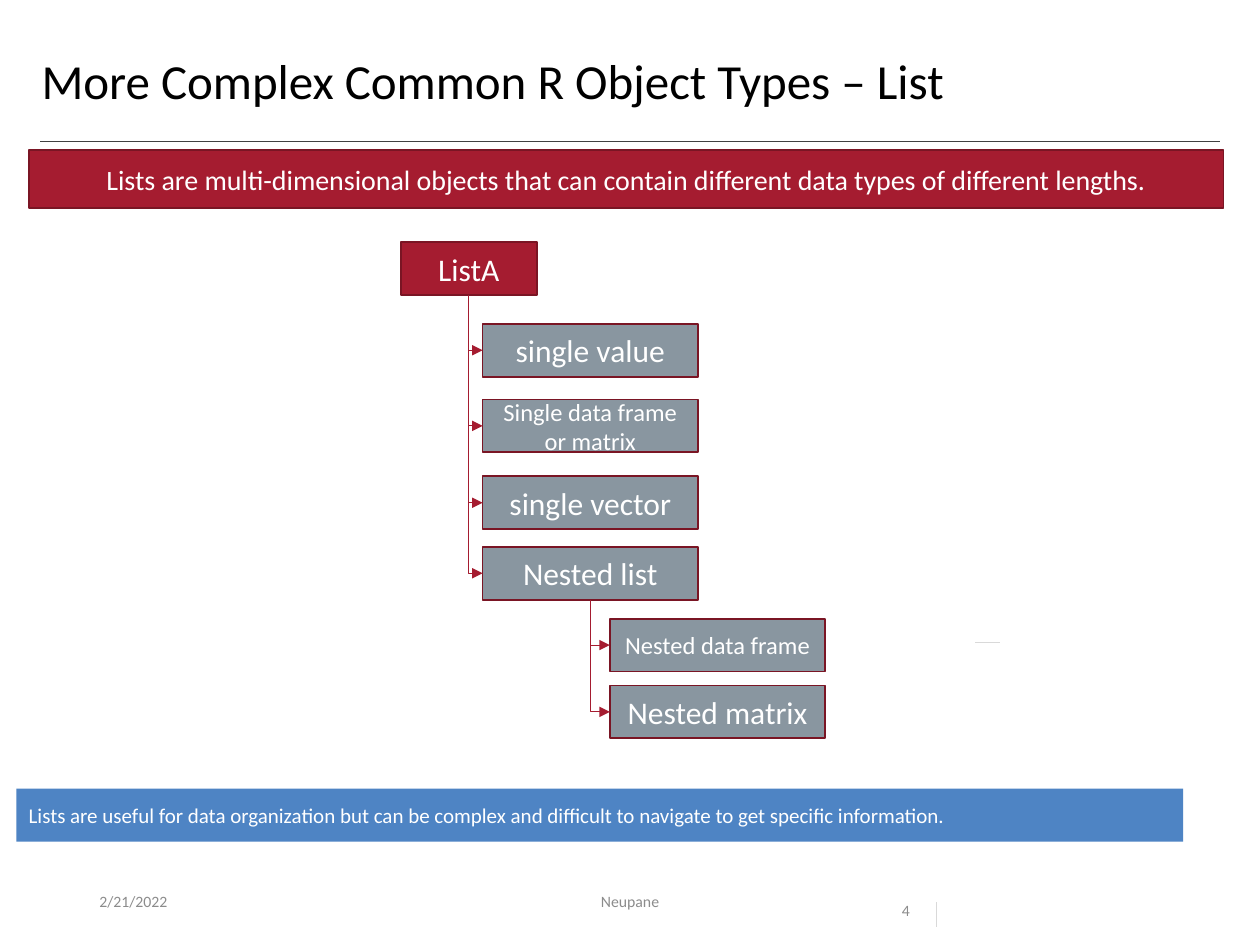
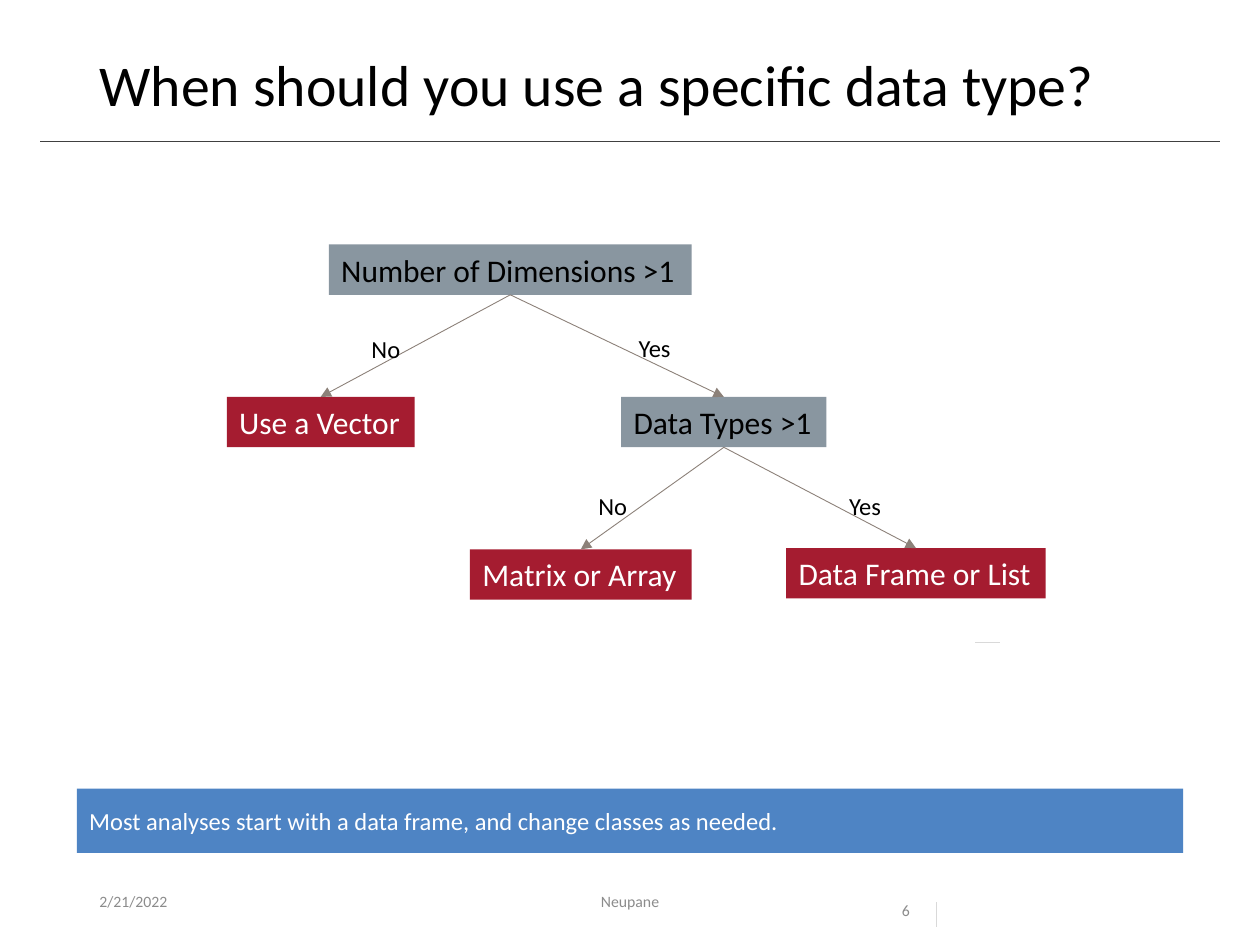
from dataclasses import dataclass

from lxml import etree
from pptx import Presentation
from pptx import util as u
from pptx.dml.color import RGBColor
from pptx.enum import shapes, text
from pptx.oxml import ns

PX = 9144  # EMU; the slide is 1000 x 750 px
LEFT, CENTER = text.PP_ALIGN.LEFT, text.PP_ALIGN.CENTER
TOP, MIDDLE = text.MSO_ANCHOR.TOP, text.MSO_ANCHOR.MIDDLE


@dataclass(frozen=True)
class Theme:
    font: str = "Calibri"
    ink: str = "000000"
    paper: str = "FFFFFF"
    crimson: str = "A51C30"
    outline: str = "7A1524"
    slate: str = "8996A0"
    blue: str = "4E84C4"
    rule: str = "404040"
    branch: str = "8C8179"
    tick: str = "D9D9D9"
    muted: str = "8C8C8C"
    footer_size: int = 9
    note_size: int = 12
    small: int = 14
    banner_size: int = 16
    node_size: int = 18
    hair: float = 0.5


THEME = Theme()


def px(*lengths):
    return [u.Emu(length * PX) for length in lengths]


def apply(target, values):
    for name, value in values.items():
        setattr(target, name, value)


def write(shape, words, size, color, align=LEFT, spacing=None, **frame_format):
    frame = shape.text_frame
    apply(frame, {"word_wrap": True, "auto_size": text.MSO_AUTO_SIZE.NONE,
                  "vertical_anchor": TOP, **frame_format})
    frame.text = words
    paragraph = frame.paragraphs[0]
    apply(paragraph, {"alignment": align, "line_spacing": spacing})
    font = paragraph.runs[0].font
    apply(font, {"name": THEME.font, "size": u.Pt(size)})
    font.color.rgb = RGBColor.from_string(color)


def add_label(slide, box, words, size, color, **layout):
    label = slide.shapes.add_textbox(*px(*box))
    write(label, words, size, color, **layout)
    return label


def add_box(slide, box, words, fill, size, color=THEME.paper, outline=None, **layout):
    shape = slide.shapes.add_shape(shapes.MSO_SHAPE.RECTANGLE, *px(*box))
    shape.shadow.inherit = False
    shape.fill.solid()
    shape.fill.fore_color.rgb = RGBColor.from_string(fill)
    if outline:
        shape.line.color.rgb = RGBColor.from_string(outline)
        shape.line.width = u.Pt(1)
    else:
        shape.line.fill.background()
    write(shape, words, size, color, **layout)
    return shape


def add_line(slide, ends, color, arrow=False):
    line = slide.shapes.add_connector(shapes.MSO_CONNECTOR.STRAIGHT, *px(*ends))
    line.line.color.rgb = RGBColor.from_string(color)
    line.line.width = u.Pt(THEME.hair)
    properties = line._element.spPr
    if arrow:
        head = etree.SubElement(properties.find(ns.qn("a:ln")), ns.qn("a:tailEnd"))
        head.set("type", "triangle")
    etree.SubElement(properties, ns.qn("a:effectLst"))
    return line


def add_joined(slide, parent, child, child_side, color):
    line = add_line(slide, (0, 0, 0, 0), color, arrow=True)
    line.begin_connect(parent, 2)
    line.end_connect(child, child_side)
    return line


def add_elbow(slide, parent, child):
    """Run down from the parent's bottom, then right to the child's left side."""
    elbow = add_joined(slide, parent, child, 1, THEME.crimson)
    across, down = elbow.width, elbow.height
    middle_x, middle_y = elbow.left + across // 2, elbow.top + down // 2
    apply(elbow, {"left": middle_x - down // 2, "top": middle_y - across // 2,
                  "width": down, "height": across})
    properties = elbow._element.spPr
    properties.find(ns.qn("a:prstGeom")).set("prst", "bentConnector2")
    frame = properties.find(ns.qn("a:xfrm"))
    frame.set("rot", "16200000")
    frame.set("flipH", "1")


def add_member(slide, left, top, words, size=THEME.node_size, width=171,
               fill=THEME.slate):
    return add_box(slide, (left, top, width, 42), words, fill, size,
                   outline=THEME.outline, align=CENTER, vertical_anchor=MIDDLE)


def add_decision(slide, left, top, width, words, fill, color):
    return add_box(slide, (left, top, width, 40), words, fill, THEME.node_size, color,
                   word_wrap=False, auto_size=text.MSO_AUTO_SIZE.SHAPE_TO_FIT_TEXT)


def add_note(slide, box, words, size):
    add_box(slide, box, words, THEME.blue, size, vertical_anchor=MIDDLE)


def start_slide(deck, title, title_left, title_size, number):
    slide = deck.slides.add_slide(deck.slide_layouts[5])
    add_line(slide, (32, 112, 968, 112), THEME.rule)
    heading = slide.shapes.title
    places = px(title_left, 40, 931 - title_left, 65)
    apply(heading, dict(zip(("left", "top", "width", "height"), places)))
    write(heading, title, title_size, THEME.ink, spacing=0.9)

    footers = [
        ((69, 695, 225, 40), "2/21/2022", {"vertical_anchor": MIDDLE}),
        ((331, 695, 338, 40), "Neupane", {"vertical_anchor": MIDDLE, "align": CENTER}),
        ((706, 695, 94, 40), number, {"spacing": 2.0}),
    ]
    for box, words, layout in footers:
        add_label(slide, box, words, THEME.footer_size, THEME.muted, **layout)
    for ends in ((743, 716, 743, 736), (774, 510, 794, 510)):
        add_line(slide, ends, THEME.tick)
    return slide


def build_list_slide(deck):
    slide = start_slide(deck, "More Complex Common R Object Types – List", 23, 28, "4")
    add_note(slide, (13, 626, 926, 42),
             "Lists are useful for data organization but can be complex and "
             "difficult to navigate to get specific information.", THEME.note_size)
    add_box(slide, (23, 119, 948, 46),
            "Lists are multi-dimensional objects that can contain different "
            "data types of different lengths.", THEME.crimson, THEME.banner_size,
            outline=THEME.outline, align=CENTER, vertical_anchor=MIDDLE)

    root = add_member(slide, 318, 192, "ListA", width=108, fill=THEME.crimson)
    members = [
        add_member(slide, 383, 257, "single value"),
        add_member(slide, 383, 317, "Single data frame or matrix", THEME.small),
        add_member(slide, 383, 378, "single vector"),
        add_member(slide, 383, 434, "Nested list"),
    ]
    nested = [
        add_member(slide, 484, 491, "Nested data frame", THEME.small),
        add_member(slide, 484, 544, "Nested matrix"),
    ]
    for parent, children in ((root, members), (members[-1], nested)):
        for child in children:
            add_elbow(slide, parent, child)


def build_decision_slide(deck):
    slide = start_slide(deck, "When should you use a specific data type?", 69, 33, "6")
    question, answer = (THEME.slate, THEME.ink), (THEME.crimson, THEME.paper)
    dimensions = add_decision(slide, 261, 194, 288, "Number of Dimensions >1", *question)
    vector = add_decision(slide, 180, 315, 149, "Use a Vector", *answer)
    data_types = add_decision(slide, 493, 315, 163, "Data Types >1", *question)
    matrix = add_decision(slide, 373, 436, 176, "Matrix or Array", *answer)
    data_frame = add_decision(slide, 624, 435, 206, "Data Frame or List", *answer)

    branches = [
        (dimensions, vector, "No", (285, 260, 43, 34)),
        (dimensions, data_types, "Yes", (497, 259, 46, 34)),
        (data_types, matrix, "No", (465, 385, 43, 34)),
        (data_types, data_frame, "Yes", (664, 385, 46, 34)),
    ]
    for parent, child, reply, box in branches:
        add_joined(slide, parent, child, 0, THEME.branch)
        add_label(slide, box, reply, THEME.small, THEME.ink, word_wrap=False,
                  auto_size=text.MSO_AUTO_SIZE.SHAPE_TO_FIT_TEXT)
    add_note(slide, (61, 626, 878, 51),
             "Most analyses start with a data frame, and change classes as needed.",
             THEME.small)


def main():
    deck = Presentation()
    deck.slide_width, deck.slide_height = px(1000, 750)
    build_list_slide(deck)
    build_decision_slide(deck)
    deck.save("out.pptx")


if __name__ == "__main__":
    main()
